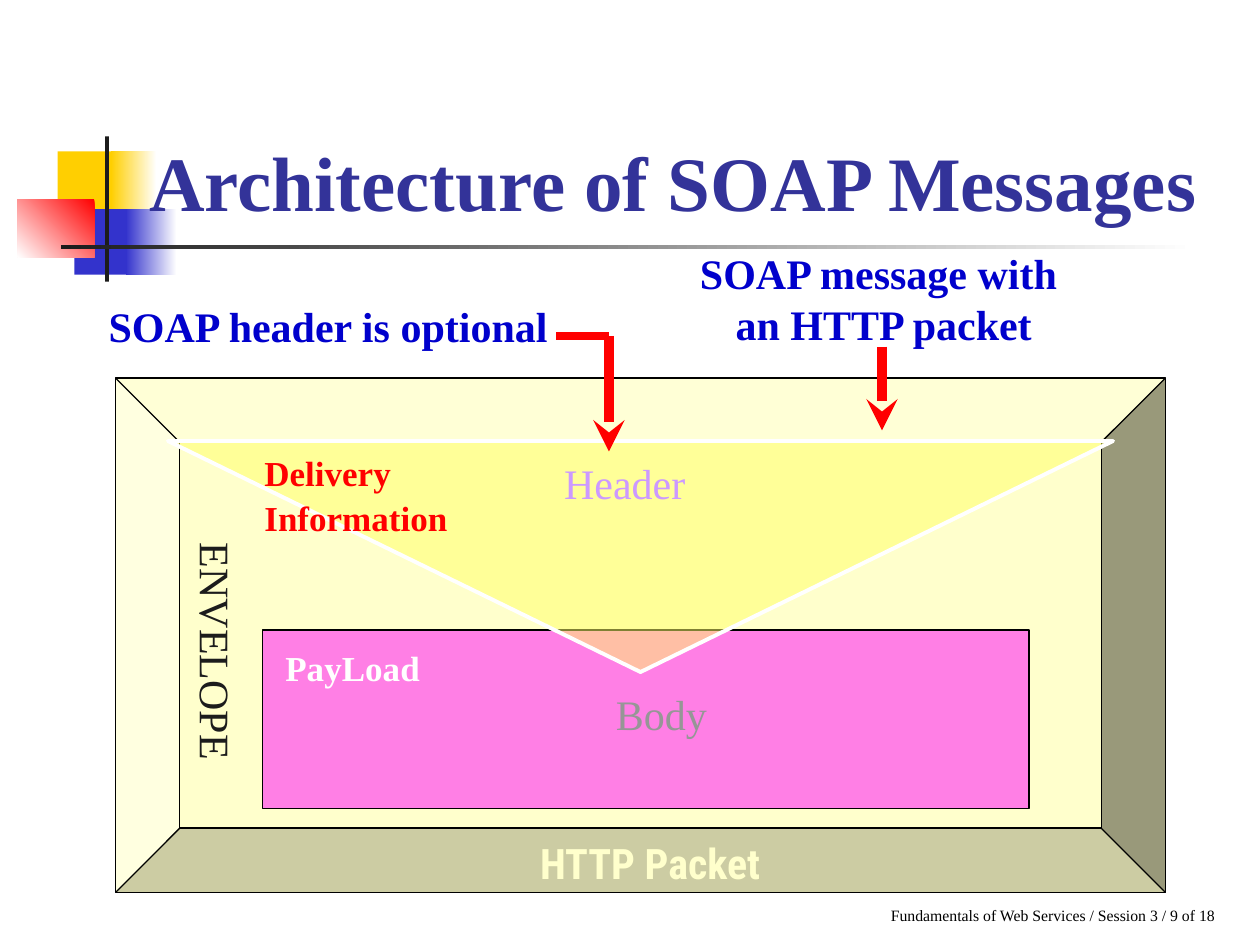
"""Build the slide on the architecture of SOAP messages."""
import pptx
import pptx.util
import pptx.dml.color
import pptx.enum.shapes
import pptx.enum.text
import pptx.oxml
import pptx.oxml.ns
import lxml.etree

Pt = pptx.util.Pt
KIND = pptx.enum.shapes.MSO_SHAPE
ALIGN = pptx.enum.text.PP_ALIGN
ANCHOR = pptx.enum.text.MSO_ANCHOR
FIT = pptx.enum.text.MSO_AUTO_SIZE
qn = pptx.oxml.ns.qn

HUES = {
    "white": "FFFFFF", "black": "000000", "ink": "1C1C1C", "gold": "FFCF01",
    "blue": "3333CC", "red": "FF0000", "cream": "FFFFCC", "pink": "FF00FF",
    "yellow": "FFFF66", "navy": "333399", "note": "0000CC", "lilac": "CC99FF",
    "gray": "969696",
}
SERIF = "Times New Roman"
PLAIN = {"name": SERIF, "size": Pt(24), "bold": False}
NOTE = {"name": SERIF, "size": Pt(24), "bold": True}
LABEL = {"name": SERIF, "size": Pt(20), "bold": True}
TITLE = {"name": SERIF, "size": Pt(44), "bold": True}
PACKET = {"name": "Roboto Condensed", "size": Pt(24), "bold": True}
FOOT = {"name": SERIF, "size": Pt(9), "bold": False}


def hue(name):
    return pptx.dml.color.RGBColor.from_string(HUES[name])


def apply(item, form):
    for key, value in form.items():
        setattr(item, key, value)


def add_form(slide, kind, box, fill, line=None, width=0.75, alpha=None):
    form = slide.shapes.add_shape(kind, *map(Pt, box))
    form.shadow.inherit = False
    if isinstance(fill, tuple):
        first, last, angle = fill
        form.fill.gradient()
        form.fill.gradient_angle = angle
        for stop, name in zip(form.fill.gradient_stops, (first, last)):
            stop.color.rgb = hue(name)
    else:
        form.fill.solid()
        form.fill.fore_color.rgb = hue(fill)
    if alpha:
        tint = form._element.spPr.find(qn("a:solidFill"))[0]
        lxml.etree.SubElement(tint, qn("a:alpha"), val=str(alpha * 1000))
    if line:
        form.line.color.rgb = hue(line)
        form.line.width = Pt(width)
    else:
        form.line.fill.background()
    return form


def write(frame, lines, font, color, **para):
    frame.text = "\n".join(lines)
    for part in frame.paragraphs:
        apply(part, para)
        apply(part.font, font)
        part.font.color.rgb = hue(color)


def add_text(slide, box, lines, font, color, wrap=True, **para):
    area = slide.shapes.add_textbox(*map(Pt, box))
    area.text_frame.word_wrap = wrap
    write(area.text_frame, lines, font, color, **para)
    return area


def add_line(slide, start, end, width, arrow=False):
    line = slide.shapes.add_connector(
        pptx.enum.shapes.MSO_CONNECTOR.STRAIGHT, *map(Pt, start + end))
    line.line.color.rgb = hue("red")
    line.line.width = Pt(width)
    if arrow:
        lxml.etree.SubElement(line.line._get_or_add_ln(), qn("a:tailEnd"), type="stealth")
    lxml.etree.SubElement(line._element.spPr, qn("a:effectLst"))


def add_decor(slide):
    parts = [
        ((33, 86.5, 34.5, 37.5), "gold"),
        ((63.5, 86.5, 26, 37.5), ("white", "gold", 180)),
        ((42.5, 119.5, 33, 37.5), "blue"),
        ((72, 119.5, 29, 37.5), ("white", "blue", 180)),
        ((10, 113.75, 44, 33.25), ("red", "white", 225)),
        ((60, 78, 2.25, 83), "ink"),
        ((34.75, 140.25, 648, 2.25), ("white", "ink", 180)),
    ]
    for box, fill in parts:
        add_form(slide, KIND.RECTANGLE, box, fill)


def add_title(slide, text):
    title = slide.shapes.title
    apply(title, dict(zip(("left", "top", "width", "height"),
                          map(Pt, (78, 18, 613.5, 115)))))
    apply(title.text_frame, {"vertical_anchor": ANCHOR.BOTTOM,
                             "word_wrap": True, "auto_size": FIT.NONE})
    write(title.text_frame, [text], TITLE, "navy", alignment=ALIGN.CENTER)
    slide.shapes._spTree.append(title._element)


def main():
    deck = pptx.Presentation()
    deck.slide_width, deck.slide_height = Pt(720), Pt(540)
    slide = deck.slides.add_slide(deck.slide_layouts[5])
    mid = {"wrap": False, "alignment": ALIGN.CENTER}

    add_decor(slide)
    add_text(slide, (502, 514, 233, 18),
             ["Fundamentals of Web Services / Session 3 / 9 of 18"], FOOT, "black")
    add_form(slide, KIND.BEVEL, (66, 216, 600, 294), "cream", "black")
    add_text(slide, (207.5, 475, 328, 30), ["HTTP Packet"], PACKET, "cream", **mid)
    add_title(slide, "Architecture of SOAP Messages")

    add_form(slide, KIND.RECTANGLE, (150, 360, 438, 102), "pink", "black", alpha=50)
    flap = add_form(slide, KIND.ISOSCELES_TRIANGLE, (96, 252, 540, 132),
                    "yellow", "white", 2.25, 50)
    flap.rotation = 180
    side = add_text(slide, (34.5, 355, 180, 34.5), ["ENVELOPE"], PLAIN, "ink", **mid)
    side.rotation = 90

    add_line(slide, (504, 198), (504, 246), 6, True)
    add_text(slide, (392.5, 138, 225, 65), ["SOAP message with ", "an HTTP packet"],
             NOTE, "note", **mid)
    add_text(slide, (54, 168, 267, 36), ["SOAP header is optional"], NOTE, "note", **mid)
    add_text(slide, (282, 258, 150, 45), ["Header"], PLAIN, "lilac", **mid)
    add_text(slide, (303, 390, 150, 45), ["Body"], PLAIN, "gray", **mid)
    add_text(slide, (156, 366, 96, 32), ["PayLoad"], LABEL, "white")
    add_line(slide, (348, 192), (348, 258), 6, True)
    add_line(slide, (318, 192), (348, 192), 4.5)
    info = add_text(slide, (144, 264, 156, 46), ["Delivery", "Information"],
                    LABEL, "red", line_spacing=0.55)
    info.text_frame.paragraphs[1].space_before = Pt(12.5)

    deck.save("out.pptx")


if __name__ == "__main__":
    main()
